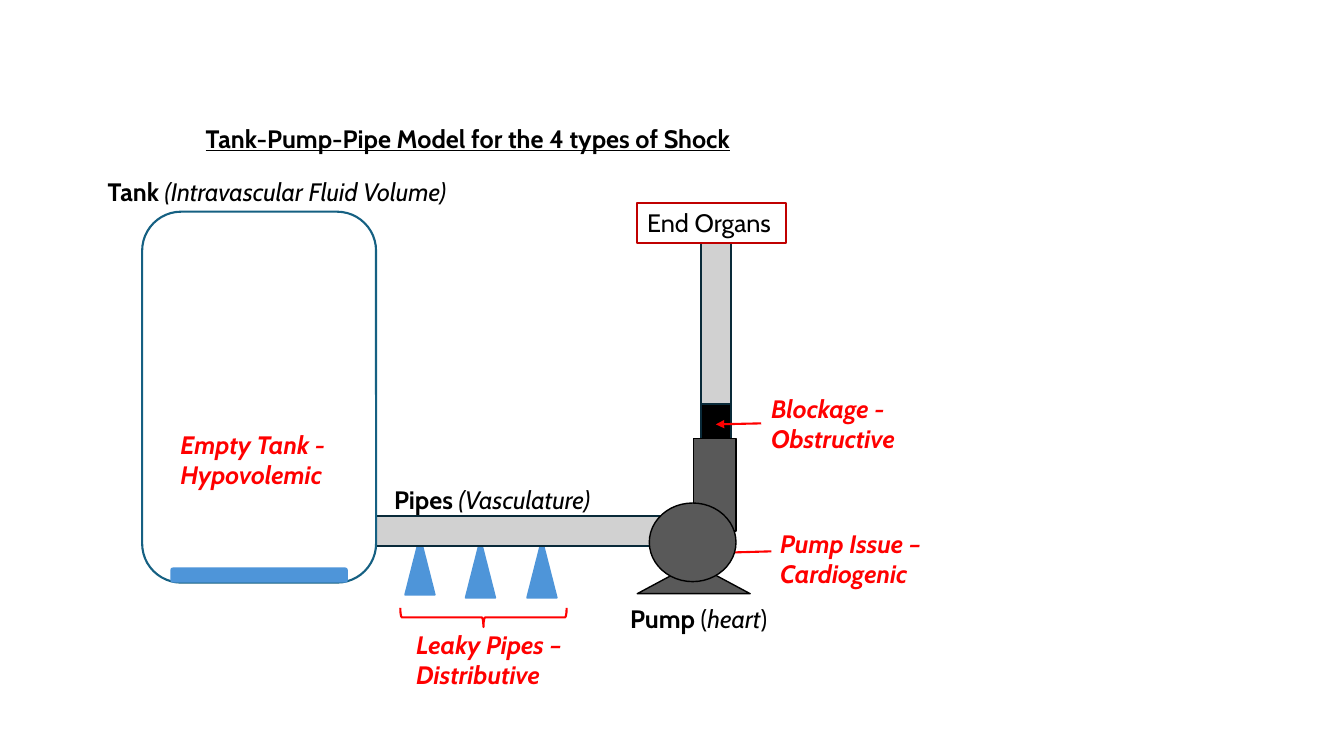
from pptx import Presentation
from pptx.dml.color import RGBColor
from pptx.enum.shapes import MSO_CONNECTOR, MSO_SHAPE as Shape
from pptx.enum.text import MSO_ANCHOR, MSO_AUTO_SIZE, PP_ALIGN
from pptx.oxml.ns import qn
from pptx.util import Pt
from lxml.etree import SubElement

PX = 9144  # 100 px to the inch
FONT = "Cabin"
BLACK, WHITE, RED, DARK_RED = "000000", "FFFFFF", "FF0000", "C00000"
PIPE_GRAY, PIPE_EDGE, PUMP_GRAY = "D1D1D1", "092A39", "595959"
FLUID_BLUE, TANK_EDGE = "4E95D9", "156082"

TITLE = ((194, 117, 660, 40), [[("Tank-Pump-Pipe Model for the 4 types of Shock", "bu")]])

# Each label: frame, then paragraphs of (text, style) runs
PART_LABELS = [
    ((97, 170, 399, 40), [[("Tank ", "b"), ("(Intravascular Fluid Volume)", "i")]]),
    ((615, 594, 165, 40), [[("Pump", "b"), (" (", ""), ("heart", "i"), (")", "")]]),
    ((381, 476, 285, 40), [[("Pipes ", "b"), ("(Vasculature)", "i")]]),
]
SHOCK_LABELS = [
    ((169, 421, 176, 71), ["Empty Tank - Hypovolemic"]),
    ((764, 519, 176, 71), ["Pump Issue –", "Cardiogenic"]),
    ((755, 385, 224, 71), ["Blockage - Obstructive"]),
    ((403, 619, 176, 71), ["Leaky Pipes –", "Distributive"]),
]
END_ORGANS = ((632, 201, 148, 40), [[("End Organs", "")]])

# Kind, frame, fill, line, line width in points
LEAKS = [(Shape.ISOSCELES_TRIANGLE, (left, top, 29, 57), FLUID_BLUE, FLUID_BLUE, 1.5)
         for left, top in ((402, 533), (462, 536), (523, 536))]
PLUMBING = LEAKS + [
    (Shape.RECTANGLE, (335, 512, 377, 30), PIPE_GRAY, PIPE_EDGE, 1.5),
    (Shape.RECTANGLE, (695, 239, 30, 300), PIPE_GRAY, PIPE_EDGE, 1.5),
    (Shape.ROUNDED_RECTANGLE, (141, 210, 232, 368), WHITE, TANK_EDGE, 1.5),
    (Shape.RECTANGLE, (695, 401, 30, 40), BLACK, PIPE_EDGE, 1.5),
    (Shape.ROUNDED_RECTANGLE, (169, 563, 176, 15), FLUID_BLUE, None, 0),
]
PUMP = [
    (Shape.ISOSCELES_TRIANGLE, (632, 559, 112, 30), PUMP_GRAY, BLACK, 1),
    (Shape.RECTANGLE, (688, 435, 42, 92), PUMP_GRAY, BLACK, 1),
    (Shape.OVAL, (644, 499, 86, 78), PUMP_GRAY, BLACK, 1),
]
LEAK_BRACE = (Shape.LEFT_BRACE, (470, 530, 19, 165), None, RED, 1.5)
ARROWS = [(755, 420, 710, 421), (765, 547, 695, 549)]


def color(hex_code):
    return RGBColor.from_string(hex_code)


def emu(lengths):
    return [length * PX for length in lengths]


def add_part(shapes, kind, frame, fill, line, width):
    part = shapes.add_shape(kind, *emu(frame))
    part.shadow.inherit = False
    if fill:
        part.fill.solid()
        part.fill.fore_color.rgb = color(fill)
    else:
        part.fill.background()
    if line:
        part.line.color.rgb = color(line)
        part.line.width = Pt(width)
    else:
        part.line.fill.background()
    return part


def write(box, paragraphs, text_color=BLACK):
    """Fill a box with runs whose style letters are b, i and u."""
    frame = box.text_frame
    frame.word_wrap = True
    frame.auto_size = MSO_AUTO_SIZE.SHAPE_TO_FIT_TEXT
    frame.vertical_anchor = MSO_ANCHOR.TOP
    for index, runs in enumerate(paragraphs):
        para = frame.add_paragraph() if index else frame.paragraphs[0]
        para.alignment = PP_ALIGN.LEFT
        for text, style in runs:
            span = para.add_run()
            span.text = text
            font = span.font
            font.name, font.size = FONT, Pt(18)
            font.color.rgb = color(text_color)
            font.bold, font.italic = "b" in style, "i" in style
            font.underline = "u" in style


def add_label(shapes, frame, paragraphs, text_color=BLACK):
    write(shapes.add_textbox(*emu(frame)), paragraphs, text_color)


def add_arrow(shapes, ends):
    arrow = shapes.add_connector(MSO_CONNECTOR.STRAIGHT, *emu(ends))
    arrow.line.color.rgb = color(RED)
    arrow.line.width = Pt(1.5)
    SubElement(arrow.line._get_or_add_ln(), qn("a:tailEnd"), type="triangle")
    SubElement(arrow._element.spPr, qn("a:effectLst"))


def main():
    deck = Presentation()
    deck.slide_width, deck.slide_height = emu((1333, 750))
    page = deck.slides.add_slide(deck.slide_layouts[5])
    shapes = page.shapes

    title_frame, title_text = TITLE
    title = shapes.title
    title.left, title.top, title.width, title.height = emu(title_frame)
    write(title, title_text)

    for part in PLUMBING:
        add_part(shapes, *part)
    organs_frame, organs_text = END_ORGANS
    organs = add_part(shapes, Shape.RECTANGLE, organs_frame, WHITE, DARK_RED, 1.5)
    write(organs, organs_text)
    add_part(shapes, *LEAK_BRACE).rotation = 270
    for ends in ARROWS:
        add_arrow(shapes, ends)
    pump = shapes.add_group_shape()
    for part in PUMP:
        add_part(pump.shapes, *part)

    for frame, paragraphs in PART_LABELS:
        add_label(shapes, frame, paragraphs)
    for frame, lines in SHOCK_LABELS:
        add_label(shapes, frame, [[(line, "bi")] for line in lines], RED)
    deck.save("out.pptx")


if __name__ == "__main__":
    main()
